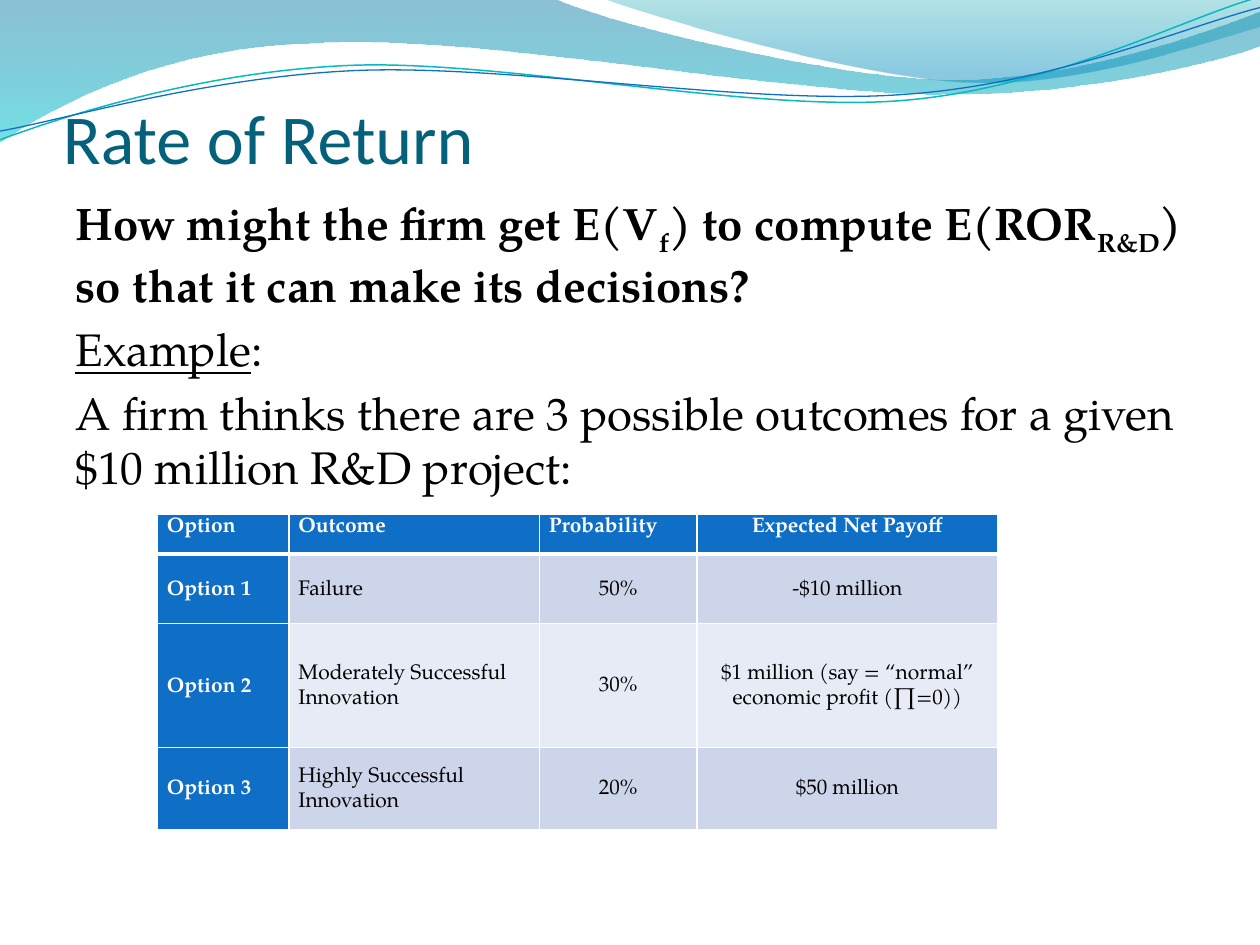
import math

import lxml.etree
import pptx
import pptx.dml.color
import pptx.enum.text
import pptx.oxml.ns
import pptx.util

Pt = pptx.util.Pt
RGB = pptx.dml.color.RGBColor
ALIGN = pptx.enum.text.PP_ALIGN
ANCHOR = pptx.enum.text.MSO_ANCHOR
qn = pptx.oxml.ns.qn

WHITE = RGB(0xFF, 0xFF, 0xFF)
BLACK = RGB(0x00, 0x00, 0x00)
BLUE = RGB(0x0F, 0x6F, 0xC6)
TEAL = RGB(0x0A, 0xB8, 0xBF)
TITLE_BLUE = RGB(0x04, 0x61, 0x7B)
DEEP_BLUE = RGB(0x00, 0x74, 0xA1)
CYAN = RGB(0x00, 0xC6, 0xCF)
SEA_GREEN = RGB(0x00, 0xA1, 0xA9)
SKY_BLUE = RGB(0x00, 0x8B, 0xBF)
BAND_DARK = RGB(0xCC, 0xD5, 0xEA)
BAND_LIGHT = RGB(0xE7, 0xEB, 0xF5)
SERIF = "TeX Gyre Pagella"

prs = pptx.Presentation()
prs.slide_width, prs.slide_height = Pt(720), Pt(540)
slide = prs.slides.add_slide(prs.slide_layouts[6])


def draw_wave(box, start, segments, closed, turn=0):
    """Draw line (2 numbers) and Bezier (6 numbers) segments in a box turned by degrees."""
    left, top, width, height = box
    cx, cy = left + width / 2, top + height / 2
    cos, sin = math.cos(math.radians(-turn)), math.sin(math.radians(-turn))
    builder = slide.shapes.build_freeform(Pt(start[0]), Pt(start[1]))
    builder.add_line_segments([(Pt(s[-2]), Pt(s[-1])) for s in segments], close=closed)
    wave = builder.convert_to_shape()
    wave.left, wave.top, wave.width, wave.height = map(Pt, box)
    outline = next(wave.element.iter(qn("a:path")))
    outline.set("w", str(Pt(width)))
    outline.set("h", str(Pt(height)))
    for step, segment in zip(outline, [start, *segments]):
        step.clear()
        if len(segment) == 6:
            step.tag = qn("a:cubicBezTo")
        for x, y in zip(segment[::2], segment[1::2]):
            level_x = cx + (x - cx) * cos - (y - cy) * sin - left
            level_y = cy + (x - cx) * sin + (y - cy) * cos - top
            lxml.etree.SubElement(step, qn("a:pt"), x=str(Pt(level_x)), y=str(Pt(level_y)))
    wave.shadow.inherit = False
    wave.rotation = turn % 360
    return wave


def add_run(paragraph, text, **formats):
    """Add a run whose font takes the given format values; color sets its colour."""
    run = paragraph.add_run()
    run.text = text
    run.font.color.rgb = formats.pop("color", BLACK)
    for name, value in formats.items():
        setattr(run.font, name, value)
    return run


# Translucent waves: box, start, segments, gradient stops (position, colour, opacity %)
bands = [
    ((-0.7, -0.7, 721.4, 82.1), (0, 0),
     [(317, -0.7), (342.7, 12.2, 478, 45.4, 545.8, 45.4),
      (614, 45.4, 689.8, 18.7, 720, 6.5), (720.7, 25.9),
      (707.8, 31.7, 626.4, 54.7, 537.1, 54), (447.8, 54, 275, 20.2, 185, 24.5),
      (92.9, 25.9, 33.1, 59.8, -0.7, 81.4), (0, 0)],
     [(0, DEEP_BLUE, 45), (1, CYAN, 55)]),
    ((344.9, -0.7, 375.1, 50.4), (344.9, -0.7),
     [(366.5, 7.9, 491, 44.6, 553.7, 46.8),
      (616.3, 49.7, 691.9, 23, 720, 15.1), (720, 0), (344.9, -0.7)],
     [(0, SEA_GREEN, 30), (0.8, SKY_BLUE, 45)]),
]
for box, start, segments, stops in bands:
    band = draw_wave(box, start, segments, True)
    band.line.fill.background()
    band.fill.gradient()
    band.fill.gradient_angle = 270
    for stop, (position, color, _) in zip(band.fill.gradient_stops, stops):
        stop.position = position
        stop.color.rgb = color
    for tint, (_, _, opacity) in zip(band.element.iter(qn("a:srgbClr")), stops):
        lxml.etree.SubElement(tint, qn("a:alpha"), val=str(opacity * 1000))

# Thin lines along the waves
strands = [
    ((-1.4, 15.8, 721.4, 51.1), (0, 79.9),
     [(34.6, 67, 113.8, 41, 199.4, 37.4), (284.4, 33.8, 427, 64.1, 513.4, 57.6),
      (599.8, 51.1, 675.4, 10.8, 718.6, -1.4)], TEAL, 0.85),
    ((-1.4, 21.6, 722.2, 41.8), (0, 74.9),
     [(33.8, 69.1, 118.1, 43.9, 203.8, 40.3), (290.2, 36.7, 429.8, 60.5, 516.2, 54),
      (601.9, 48.2, 677.5, 15.1, 720, 4.3)], BLUE, 0.75),
]
for box, start, segments, color, width in strands:
    strand = draw_wave(box, start, segments, False, -2.7)
    strand.fill.background()
    strand.line.color.rgb = color
    strand.line.width = Pt(width)

title = slide.shapes.add_textbox(Pt(36), Pt(55.4), Pt(648), Pt(46.8)).text_frame
title_frame = {"word_wrap": True, "vertical_anchor": ANCHOR.BOTTOM, "margin_left": 0,
               "margin_right": 0, "margin_bottom": 0}
for name, value in title_frame.items():
    setattr(title, name, value)
add_run(title.paragraphs[0], "Rate of Return", size=Pt(40), name="Calibri", color=TITLE_BLUE)

body = slide.shapes.add_textbox(Pt(36), Pt(108), Pt(648), Pt(390.2)).text_frame
body.word_wrap = True
# Each piece: text, font formats, baseline shift
bold, underlined = {"bold": True}, {"underline": True}
body_text = [
    [("How might the firm get E(V", bold, 0), ("f", bold, -25000),
     (") to compute E(ROR", bold, 0), ("R&D", bold, -25000),
     (") so that it can make its decisions?", bold, 0)],
    [("Example", underlined, 0), (":", {}, 0)],
    [("A firm thinks there are 3 possible outcomes for a given "
      "$10 million R&D project:", {}, 0)],
]
for index, pieces in enumerate(body_text):
    paragraph = body.add_paragraph() if index else body.paragraphs[0]
    paragraph.space_before = Pt(5.2)
    for text, formats, shift in pieces:
        run = add_run(paragraph, text, size=Pt(26), name=SERIF, **formats)
        if shift:
            run.font._element.set("baseline", str(shift))

outcomes = [
    ("Option", "Outcome", "Probability", "Expected Net Payoff"),
    ("Option 1", "Failure", "50%", "-$10 million"),
    ("Option 2", "Moderately Successful Innovation", "30%",
     "$1 million (say = “normal” economic profit (∏=0))"),
    ("Option 3", "Highly Successful Innovation", "20%", "$50 million"),
]
column_widths = [75.2, 143.1, 90, 172]
row_heights = [22.6, 39.8, 70.8, 46.9]
table = slide.shapes.add_table(4, 4, Pt(90), Pt(294), Pt(sum(column_widths)),
                               Pt(sum(row_heights))).table
for column, width in zip(table.columns, column_widths):
    column.width = Pt(width)
for row, height in zip(table.rows, row_heights):
    row.height = Pt(height)

for r, outcome in enumerate(outcomes):
    for c, text in enumerate(outcome):
        cell = table.cell(r, c)
        heading = r == 0 or c == 0
        cell_frame = {"margin_left": Pt(5.4), "margin_right": Pt(5.4), "margin_top": 0,
                      "margin_bottom": 0,
                      "vertical_anchor": ANCHOR.MIDDLE if r else ANCHOR.TOP}
        for name, value in cell_frame.items():
            setattr(cell, name, value)
        edges = {"a:lnL": 1, "a:lnR": 1, "a:lnT": 3 if r == 1 else 1, "a:lnB": 1 if r else 3}
        for tag, width in edges.items():
            edge = lxml.etree.SubElement(cell._tc.get_or_add_tcPr(), qn(tag), w=str(Pt(width)))
            paint = lxml.etree.SubElement(edge, qn("a:solidFill"))
            lxml.etree.SubElement(paint, qn("a:srgbClr"), val=str(WHITE))
        cell.fill.solid()
        cell.fill.fore_color.rgb = BLUE if heading else BAND_DARK if r % 2 else BAND_LIGHT
        paragraph = cell.text_frame.paragraphs[0]
        paragraph.line_spacing = 1.15
        centered = c == 3 or (c == 2 and r > 0)
        paragraph.alignment = ALIGN.CENTER if centered else ALIGN.LEFT
        add_run(paragraph, text, size=Pt(12), name=SERIF, bold=heading,
                color=WHITE if heading else BLACK)

prs.save("out.pptx")
